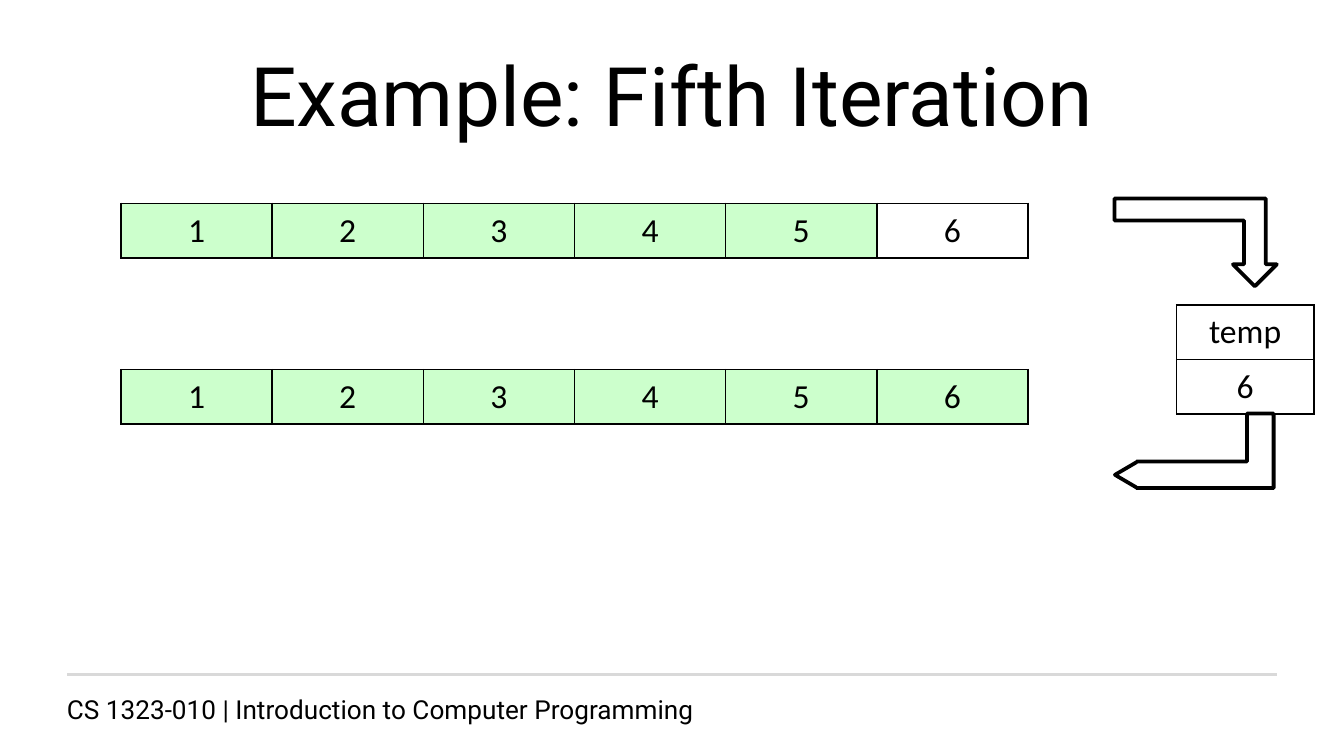
from dataclasses import dataclass

from lxml.etree import SubElement
from pptx import Presentation
from pptx.dml.color import RGBColor
from pptx.enum.shapes import MSO_CONNECTOR, MSO_SHAPE
from pptx.enum.text import MSO_ANCHOR, PP_ALIGN
from pptx.oxml.ns import qn
from pptx.util import Pt


@dataclass(frozen=True)
class Theme:
    ink: str = "000000"
    paper: str = "FFFFFF"
    rule: str = "D9D9D9"
    sorted_fill: str = "CCFFCC"
    heading_font: str = "Roboto"
    cell_font: str = "Calibri"
    title_size: float = 44
    cell_size: float = 18
    footer_size: float = 14
    border_width: float = 1
    outline_width: float = 2


THEME = Theme()
ROW_HEIGHT = 29.2


def rgb(value):
    return RGBColor.from_string(value)


def write(frame, text, *, font, size, align=PP_ALIGN.LEFT, anchor=MSO_ANCHOR.TOP):
    frame.word_wrap = True
    frame.vertical_anchor = anchor
    paragraph = frame.paragraphs[0]
    paragraph.alignment = align
    run = paragraph.add_run()
    run.text = text
    run.font.name = font
    run.font.size = Pt(size)
    run.font.color.rgb = rgb(THEME.ink)


def border_cell(cell):
    properties = cell._tc.get_or_add_tcPr()
    for position, side in enumerate(("a:lnL", "a:lnR", "a:lnT", "a:lnB")):
        border = SubElement(properties, qn(side), w=str(Pt(THEME.border_width)))
        fill = SubElement(border, qn("a:solidFill"))
        SubElement(fill, qn("a:srgbClr"), val=THEME.ink)
        properties.insert(position, border)


def add_title(slide, text, left, top, width, height):
    title = slide.shapes.add_textbox(Pt(left), Pt(top), Pt(width), Pt(height))
    write(title.text_frame, text, font=THEME.heading_font, size=THEME.title_size,
          align=PP_ALIGN.CENTER, anchor=MSO_ANCHOR.MIDDLE)


def add_footer(slide, text, left, top, width, height):
    rule = slide.shapes.add_connector(
        MSO_CONNECTOR.STRAIGHT, Pt(left), Pt(top), Pt(left + width), Pt(top))
    rule.line.color.rgb = rgb(THEME.rule)
    rule.line.width = Pt(THEME.outline_width)
    SubElement(rule._element.spPr, qn("a:effectLst"))
    course = slide.shapes.add_textbox(
        Pt(left - 7.2), Pt(top + 6.5), Pt(width), Pt(height - 6.5))
    write(course.text_frame, text, font=THEME.heading_font, size=THEME.footer_size)


def add_cells(slide, rows, left, top, width, sorted_count=0):
    columns = len(rows[0])
    table = slide.shapes.add_table(
        len(rows), columns, Pt(left), Pt(top), Pt(width),
        Pt(ROW_HEIGHT * len(rows))).table
    table.first_row = table.horz_banding = False
    for column in table.columns:
        column.width = Pt(width / columns)
    for row_index, row in enumerate(rows):
        for column_index, value in enumerate(row):
            cell = table.cell(row_index, column_index)
            if column_index < sorted_count:
                cell.fill.solid()
                cell.fill.fore_color.rgb = rgb(THEME.sorted_fill)
            else:
                cell.fill.background()
            border_cell(cell)
            write(cell.text_frame, value, font=THEME.cell_font,
                  size=THEME.cell_size, align=PP_ALIGN.CENTER)


def add_bent_arrow(slide, left, top, width, height, rotation=0, adjustments=()):
    arrow = slide.shapes.add_shape(
        MSO_SHAPE.BENT_UP_ARROW, Pt(left), Pt(top), Pt(width), Pt(height))
    arrow.shadow.inherit = False
    arrow.rotation = rotation
    arrow._element.spPr.find(qn("a:xfrm")).set("flipV", "1")
    for index, adjustment in enumerate(adjustments):
        arrow.adjustments[index] = adjustment
    arrow.fill.solid()
    arrow.fill.fore_color.rgb = rgb(THEME.paper)
    arrow.line.color.rgb = rgb(THEME.ink)
    arrow.line.width = Pt(THEME.outline_width)


def add_swap(slide, left, top, value):
    add_cells(slide, [["temp"], [value]], left + 33.3, top + 57, 73.5)
    add_bent_arrow(slide, left, top, 87, 47)
    add_bent_arrow(slide, left + 23, top + 92.4, 39.6, 85, rotation=90,
                   adjustments=(0.36, 0.17, 0.29))


def main():
    presentation = Presentation()
    presentation.slide_width = Pt(720)
    presentation.slide_height = Pt(405)
    slide = presentation.slides.add_slide(presentation.slide_layouts[6])
    add_footer(slide, "CS 1323-010 | Introduction to Computer Programming",
               36, 361.4, 648, 22)
    add_title(slide, "Example: Fifth Iteration", 36, 16.6, 648, 67.7)
    numbers = [str(number) for number in range(1, 7)]
    for top, sorted_count in ((109, 5), (198, 6)):
        add_cells(slide, [numbers], 64.8, top, 486, sorted_count)
    add_swap(slide, 597, 106.4, numbers[-1])
    presentation.save("out.pptx")


if __name__ == "__main__":
    main()
